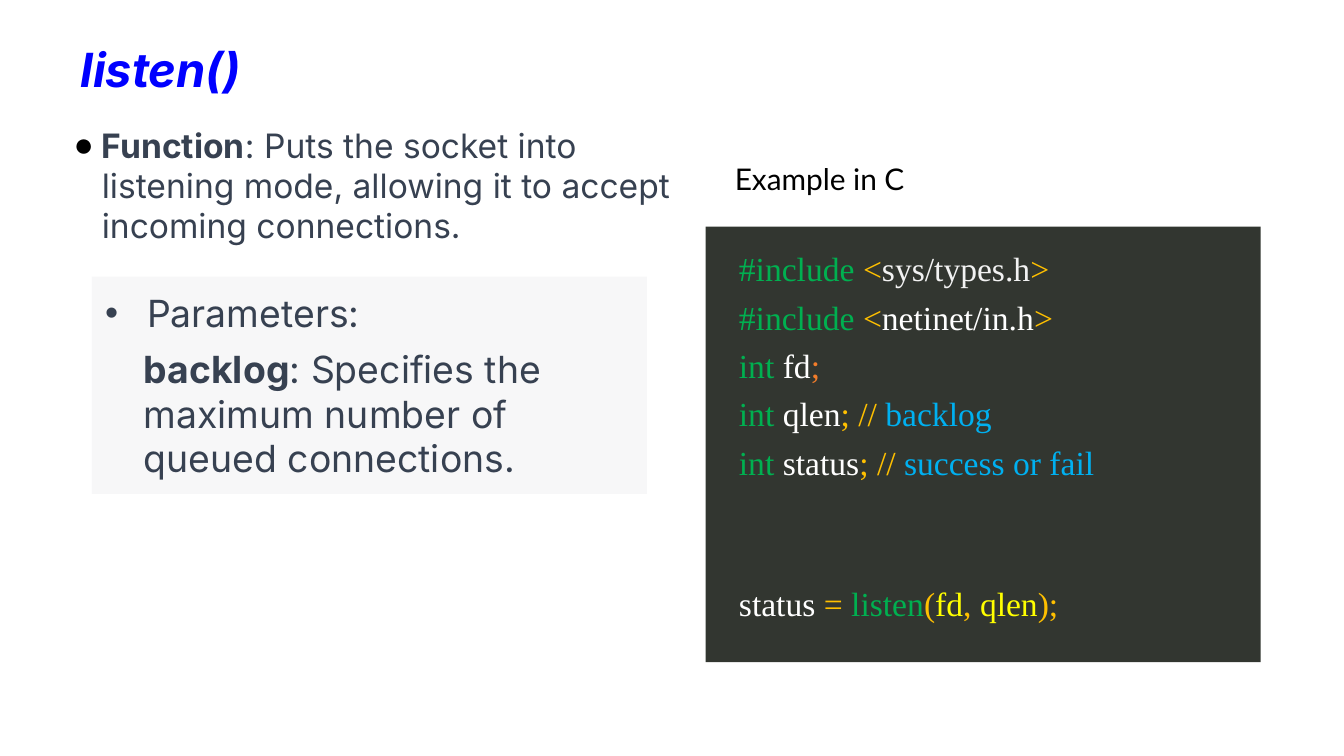
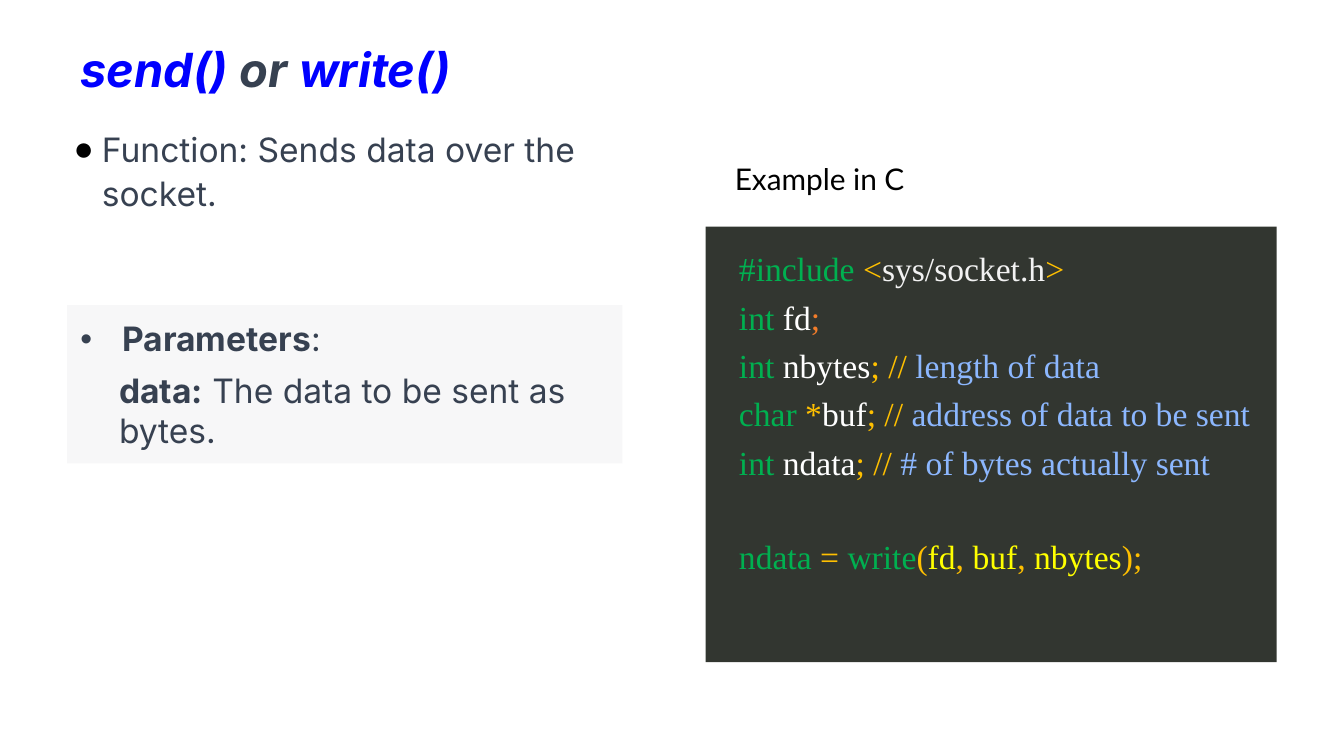
import dataclasses

import lxml.etree
import pptx
import pptx.dml.color
import pptx.enum.shapes
import pptx.enum.text
import pptx.oxml.ns
import pptx.slide
import pptx.util

ANCHOR = pptx.enum.text.MSO_ANCHOR
COLORS = {
    "title": "0000FF",
    "body": "374151",
    "black": "000000",
    "panel": "F7F7F8",
    "editor": "323630",
    "keyword": "00B050",
    "operator": "FFC000",
    "header": "F2F2F2",
    "name": "FFFFFF",
    "end": "F37D2A",
    "argument": "FFFF00",
    "sky": "00B0F0",
    "periwinkle": "8CB7FE",
}


@dataclasses.dataclass(frozen=True)
class Span:
    text: str
    color: str = "body"
    bold: bool = False


@dataclasses.dataclass(frozen=True)
class Line:
    spans: list[Span]
    margin: float = 0
    indent: float = 0
    before: float = 0
    spacing: float | None = None
    bullet: str = ""
    bullet_color: str = "body"


@dataclasses.dataclass(frozen=True)
class Block:
    left: float
    top: float
    width: float
    height: float
    lines: list[Line]
    font: str
    size: float
    fill: str = ""
    anchor: ANCHOR = ANCHOR.TOP
    inset: float = 7.2
    italic: bool = False
    grow: bool = False


@dataclasses.dataclass(frozen=True)
class Lesson:
    title: list[Span]
    function: list[Span]
    function_height: float
    function_spacing: float | None
    heading: list[Span]
    parameter: list[Span]
    panel: tuple[float, float, float, float]
    panel_size: float
    code: list[Line]
    code_width: float


def rgb(name: str) -> pptx.dml.color.RGBColor:
    return pptx.dml.color.RGBColor.from_string(COLORS[name])


def add_span(para, text: str, *, font: str, size: float, color: str,
             bold: bool = False, italic: bool = False) -> None:
    span = para.add_run()
    span.text = text
    span.font.name = font
    span.font.size = pptx.util.Pt(size)
    span.font.bold = bold
    span.font.italic = italic
    span.font.color.rgb = rgb(color)


def set_indent(para, line: Line) -> None:
    properties = para._p.get_or_add_pPr()
    properties.set("marL", str(pptx.util.Pt(line.margin)))
    properties.set("indent", str(pptx.util.Pt(line.indent)))
    if line.bullet:
        qn = pptx.oxml.ns.qn
        color = lxml.etree.SubElement(properties, qn("a:buClr"))
        lxml.etree.SubElement(color, qn("a:srgbClr"), val=COLORS[line.bullet_color])
        lxml.etree.SubElement(properties, qn("a:buFont"), typeface="Arial")
        lxml.etree.SubElement(properties, qn("a:buChar"), char=line.bullet)


def add_block(page: pptx.slide.Slide, block: Block) -> None:
    place = [pptx.util.Pt(n) for n in (block.left, block.top, block.width, block.height)]
    if block.fill:
        box = page.shapes.add_shape(pptx.enum.shapes.MSO_SHAPE.RECTANGLE, *place)
        box.shadow.inherit = False
        box.fill.solid()
        box.fill.fore_color.rgb = rgb(block.fill)
        box.line.fill.background()
    else:
        box = page.shapes.add_textbox(*place)
    frame = box.text_frame
    frame.word_wrap = True
    size_rule = pptx.enum.text.MSO_AUTO_SIZE
    frame.auto_size = size_rule.SHAPE_TO_FIT_TEXT if block.grow else size_rule.NONE
    frame.vertical_anchor = block.anchor
    frame.margin_left = frame.margin_right = pptx.util.Pt(7.2)
    frame.margin_top = frame.margin_bottom = pptx.util.Pt(block.inset)
    for index, line in enumerate(block.lines):
        para = frame.add_paragraph() if index else frame.paragraphs[0]
        para.alignment = pptx.enum.text.PP_ALIGN.LEFT
        para.space_before = pptx.util.Pt(line.before)
        if line.spacing:
            para.line_spacing = line.spacing
        set_indent(para, line)
        for span in line.spans:
            add_span(para, span.text, font=block.font, size=block.size,
                     color=span.color, bold=span.bold, italic=block.italic)


def code_line(*spans: Span, before: float = 0) -> Line:
    return Line(list(spans), margin=10.8, before=before, spacing=1.2)


def include(header: str, color: str = "header") -> Line:
    return code_line(Span("#include ", "keyword"), Span("<", "operator"),
                     Span(header, color), Span(">", "operator"))


def declare(kind: str, name: str, note: str = "", color: str = "sky",
            pointer: str = "") -> Line:
    spans = [Span(kind + " ", "keyword")]
    if pointer:
        spans.append(Span(pointer, "operator"))
    spans.append(Span(name, "name"))
    if note:
        spans += [Span("; // ", "operator"), Span(note, color)]
    else:
        spans.append(Span(";", "end"))
    return code_line(*spans)


def call(result: str, color: str, function: str, arguments: list[str],
         before: float) -> Line:
    spans = [Span(result + " ", color), Span("= ", "operator"),
             Span(function, "keyword"), Span("(", "operator")]
    for index, argument in enumerate(arguments):
        if index:
            spans.append(Span(", ", "operator"))
        spans.append(Span(argument, "argument"))
    return code_line(*spans, Span(");", "operator"), before=before)


def add_lesson(deck, lesson: Lesson) -> None:
    page = deck.slides.add_slide(deck.slide_layouts[6])
    page.background.fill.solid()
    page.background.fill.fore_color.rgb = rgb("name")
    parameters = [
        Line(lesson.heading, margin=22.5, indent=-22.5, before=6, bullet="•"),
        Line(lesson.parameter, margin=20.7, before=6),
    ]
    function = Line(lesson.function, margin=29.5, indent=-15.1,
                    spacing=lesson.function_spacing, bullet="●", bullet_color="black")
    caption = Line([Span("Example in C", "black")], margin=36, indent=-27.4)
    blocks = [
        Block(36, 14.4, 648, 45.2, [Line(lesson.title)], "Inter", 25.2,
              anchor=ANCHOR.MIDDLE, italic=True),
        Block(*lesson.panel, parameters, "Inter", lesson.panel_size, fill="panel",
              anchor=ANCHOR.MIDDLE, inset=3.6, grow=True),
        Block(378, 121.5, lesson.code_width, 233.3, lesson.code,
              "Times New Roman", 18, fill="editor"),
        Block(18, 59.6, 360, lesson.function_height, [function], "Inter", 18),
        Block(378, 67.5, 297.4, 45.2, [caption], "Lato", 16, anchor=ANCHOR.BOTTOM),
    ]
    for block in blocks:
        add_block(page, block)


LESSONS = [
    Lesson(
        title=[Span("listen()", "title", True)],
        function=[
            Span("Function", bold=True),
            Span(": Puts the socket into listening mode, allowing it to accept "
                 "incoming connections."),
        ],
        function_height=84.2,
        function_spacing=None,
        heading=[Span("Parameters:")],
        parameter=[
            Span("backlog", bold=True),
            Span(": Specifies the maximum number of queued connections."),
        ],
        panel=(49.2, 148.2, 297.4, 109.2 + 7.2),
        panel_size=20,
        code=[
            include("sys/types.h"),
            include("netinet/in.h", "name"),
            declare("int", "fd"),
            declare("int", "qlen", "backlog"),
            declare("int", "status", "success or fail"),
            call("status", "name", "listen", ["fd", "qlen"], before=49.6),
        ],
        code_width=297.4,
    ),
    Lesson(
        title=[Span("send() ", "title", True), Span("or ", bold=True),
               Span("write()", "title", True)],
        function=[Span("Function: Sends data over the socket.")],
        function_height=77.8,
        function_spacing=1.1,
        heading=[Span("Parameters", bold=True), Span(":")],
        parameter=[Span("data:", bold=True), Span(" The data to be sent as bytes.")],
        panel=(36, 163.5, 297.4, 77.6 + 7.2),
        panel_size=18,
        code=[
            include("sys/socket.h"),
            declare("int", "fd"),
            declare("int", "nbytes", "length of data", "periwinkle"),
            declare("char", "buf", "address of data to be sent", "periwinkle", "*"),
            declare("int", "ndata", "# of bytes actually sent", "periwinkle"),
            call("ndata", "keyword", "write", ["fd", "buf", "nbytes"], before=24.8),
        ],
        code_width=306,
    ),
]


def main() -> None:
    deck = pptx.Presentation()
    deck.slide_width = pptx.util.Pt(720)
    deck.slide_height = pptx.util.Pt(405)
    for lesson in LESSONS:
        add_lesson(deck, lesson)
    deck.save("out.pptx")


if __name__ == "__main__":
    main()
